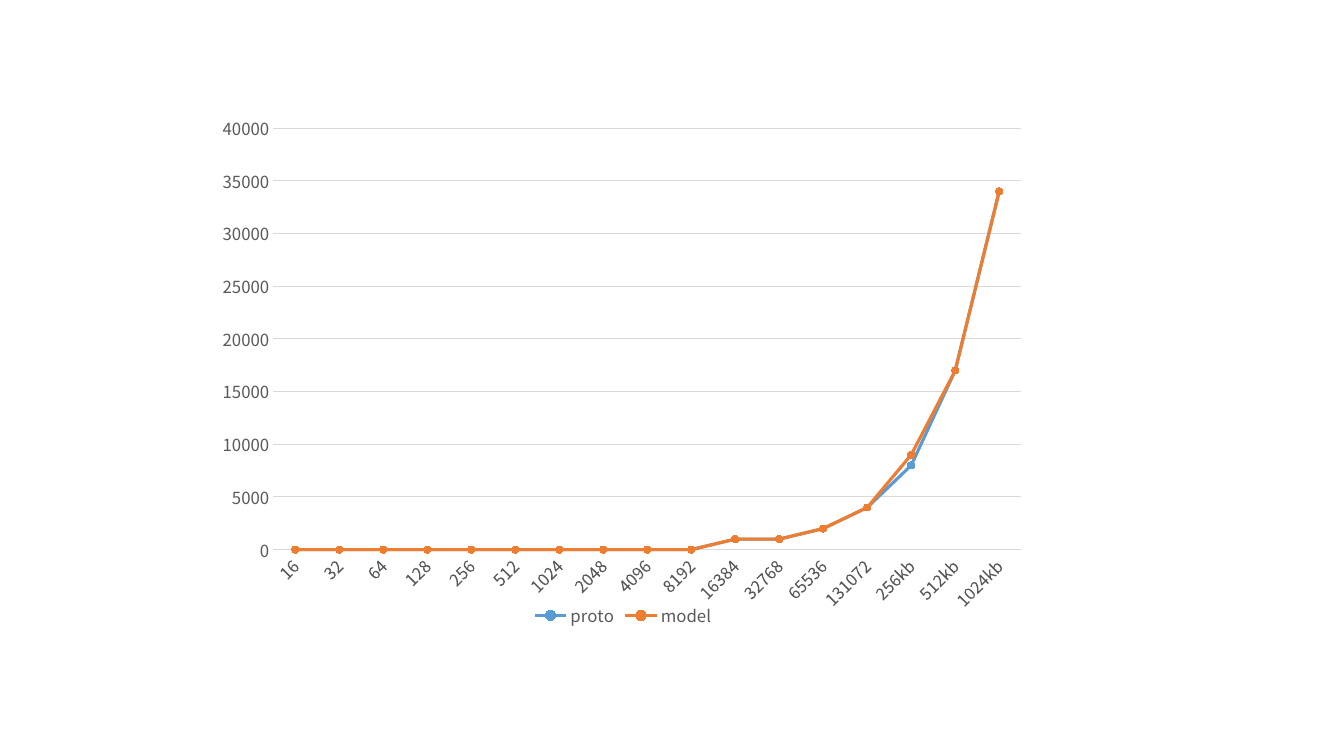
from lxml import etree
from pptx import Presentation
from pptx import util as u
from pptx.chart.data import CategoryChartData
from pptx.dml.color import RGBColor
from pptx.enum import chart as c
from pptx.oxml.ns import qn

WIDTH, HEIGHT = u.Inches(13.33), u.Inches(7.5)
CATEGORIES = [str(2 ** power) for power in range(4, 18)] + ["256kb", "512kb", "1024kb"]
FLAT_START = [0] * 10
SERIES = {
    "proto": ("5B9BD5", FLAT_START + [1000, 1000, 2000, 4000, 8000, 17000, 34000]),
    "model": ("ED7D31", FLAT_START + [1000, 1000, 2000, 4000, 9000, 17000, 34000]),
}


def color(value):
    return RGBColor.from_string(value)


class SlideBuilder:
    """Draws styled elements on the current slide, placed by shares of its size."""

    font_name = "Noto Sans CJK SC"
    text_color = "595959"
    rule_color = "D9D9D9"

    def __init__(self, slide):
        self.slide = slide

    def style_font(self, font, size=12):
        font.name = self.font_name
        font.size = u.Pt(size)
        font.color.rgb = color(self.text_color)

    def style_line(self, line, line_color, width):
        line.color.rgb = color(line_color)
        line.width = u.Pt(width)

    def style_axis(self, axis):
        axis.major_tick_mark = axis.minor_tick_mark = c.XL_TICK_MARK.NONE
        self.style_font(axis.tick_labels.font)

    def style_series(self, series, series_color):
        series.smooth = False
        self.style_line(series.format.line, series_color, 2.25)
        marker = series.marker
        marker.style = c.XL_MARKER_STYLE.CIRCLE
        marker.size = 5
        marker.format.fill.solid()
        marker.format.fill.fore_color.rgb = color(series_color)
        self.style_line(marker.format.line, series_color, 0.75)

    def set_plot_area(self, chart, x, y, w, h):
        plot_area = chart.element.find(".//" + qn("c:plotArea"))
        for layout in plot_area.findall(qn("c:layout")):
            plot_area.remove(layout)
        layout = etree.Element(qn("c:layout"))
        manual = etree.SubElement(layout, qn("c:manualLayout"))
        settings = {"layoutTarget": "inner", "xMode": "edge", "yMode": "edge",
                    "x": x, "y": y, "w": w, "h": h}
        for tag, value in settings.items():
            etree.SubElement(manual, qn("c:" + tag)).set("val", str(value))
        plot_area.insert(0, layout)

    def line_chart(self, left, top, width, height, categories, series_styles):
        data = CategoryChartData()
        data.categories = categories
        for name, (_, values) in series_styles.items():
            data.add_series(name, values)
        chart = self.slide.shapes.add_chart(
            c.XL_CHART_TYPE.LINE_MARKERS,
            u.Emu(round(left * WIDTH)), u.Emu(round(top * HEIGHT)),
            u.Emu(round(width * WIDTH)), u.Emu(round(height * HEIGHT)), data).chart
        chart.has_title = False
        self.style_font(chart.font, 10)
        chart.plots[0].vary_by_categories = False
        for series in chart.plots[0].series:
            self.style_series(series, series_styles[series.name][0])

        category_axis, value_axis = chart.category_axis, chart.value_axis
        for axis in (category_axis, value_axis):
            self.style_axis(axis)
        self.style_line(category_axis.format.line, self.rule_color, 0.75)
        labels = category_axis._element.find(qn("c:txPr"))
        labels.find(qn("a:bodyPr")).set("rot", str(-45 * 60000))
        value_axis.format.line.fill.background()
        value_axis.minimum_scale, value_axis.maximum_scale = 0, 40000
        value_axis.major_unit = 5000
        self.style_line(value_axis.major_gridlines.format.line, self.rule_color, 0.75)

        chart.has_legend = True
        chart.legend.position = c.XL_LEGEND_POSITION.BOTTOM
        chart.legend.include_in_layout = False
        self.style_font(chart.legend.font)
        self.set_plot_area(chart, 0.07, 0.02, 0.92, 0.82)


def main():
    presentation = Presentation()
    presentation.slide_width, presentation.slide_height = WIDTH, HEIGHT
    slide = presentation.slides.add_slide(presentation.slide_layouts[6])
    builder = SlideBuilder(slide)
    builder.line_chart(0.161, 0.153, 0.605, 0.683, CATEGORIES, SERIES)
    presentation.save("out.pptx")


if __name__ == "__main__":
    main()
